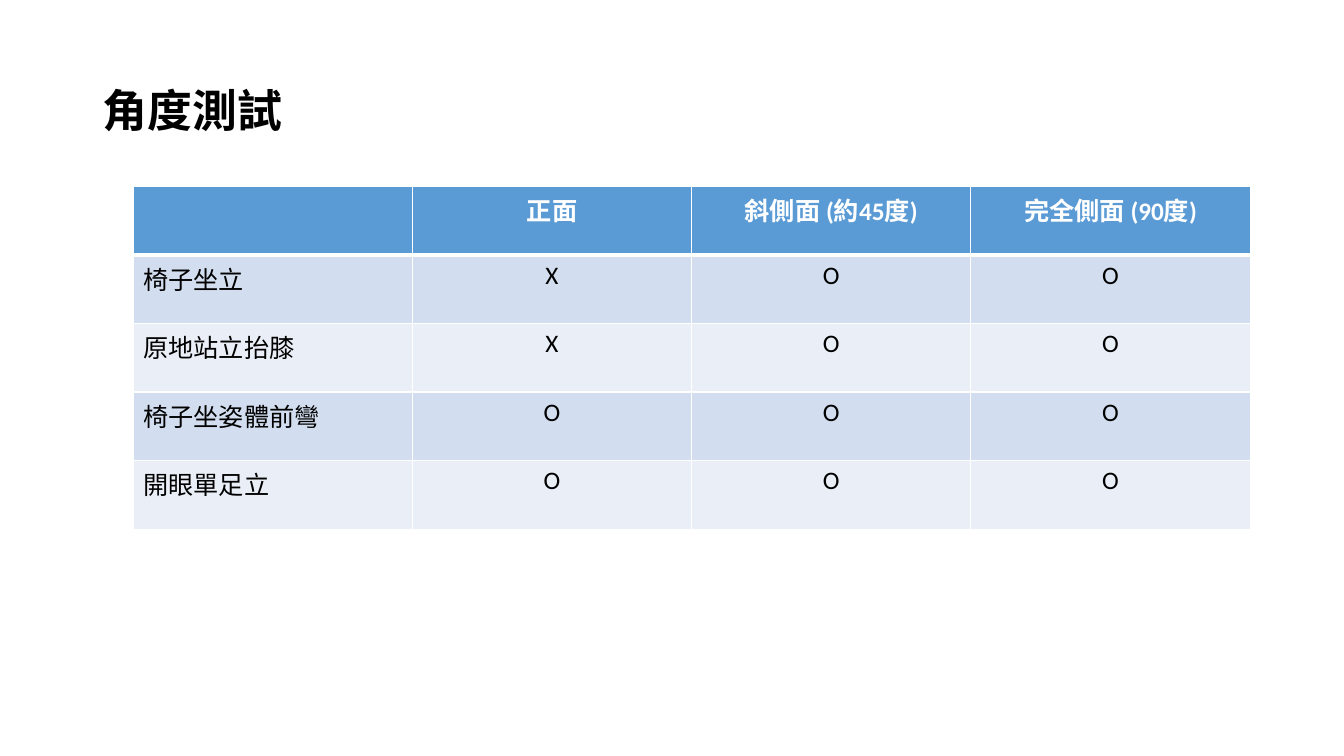
from lxml import etree
from pptx import Presentation
from pptx.dml.color import RGBColor
from pptx.enum.text import MSO_ANCHOR, PP_ALIGN
from pptx.oxml.ns import qn
from pptx.util import Inches, Pt

LEFT, CENTER = PP_ALIGN.LEFT, PP_ALIGN.CENTER
MIDDLE = MSO_ANCHOR.MIDDLE

COLORS = {
    "title": "000000",
    "header": "5B9BD5",
    "header_text": "FFFFFF",
    "odd_row": "D2DEEF",
    "even_row": "EAEFF7",
    "body_text": "000000",
    "border": "FFFFFF",
}
FONT = "Calibri"
SLIDE_W, SLIDE_H = Inches(13.33), Inches(7.5)
COLUMN_W, ROW_H = Inches(2.77), Inches(0.68)
TABLE_LEFT, TABLE_TOP = Inches(1.32), Inches(1.85)
THIN, THICK = Pt(1), Pt(3)

ANGLE_TESTS = [
    ["", "正面", "斜側面 (約45度)", "完全側面 (90度)"],
    ["椅子坐立", "X", "O", "O"],
    ["原地站立抬膝", "X", "O", "O"],
    ["椅子坐姿體前彎", "O", "O", "O"],
    ["開眼單足立", "O", "O", "O"],
]


def write(frame, text, color, alignment, **font_format):
    paragraph = frame.paragraphs[0]
    paragraph.alignment = alignment
    run = paragraph.add_run()
    run.text = text
    for attribute, value in {"name": FONT, **font_format}.items():
        setattr(run.font, attribute, value)
    run.font.color.rgb = RGBColor.from_string(COLORS[color])
    return paragraph


def add_title(slide, text):
    title = slide.shapes.add_textbox(
        round(SLIDE_W * 0.069), Inches(0.4), round(SLIDE_W * 0.863), Inches(1.45)
    )
    frame = title.text_frame
    frame.word_wrap = True
    frame.vertical_anchor = MIDDLE
    paragraph = write(frame, text, "title", LEFT, size=Pt(32), bold=True)
    paragraph.line_spacing = 0.9


def set_borders(cell, widths):
    properties = cell._tc.get_or_add_tcPr()
    for side, width in widths.items():
        line = etree.SubElement(properties, qn(f"a:ln{side}"), w=str(width))
        fill = etree.SubElement(line, qn("a:solidFill"))
        etree.SubElement(fill, qn("a:srgbClr"), val=COLORS["border"])


def format_cell(cell, text, row, column):
    is_header = row == 0
    set_borders(cell, {
        "L": THIN,
        "R": THIN,
        "T": THICK if row == 1 else THIN,
        "B": THICK if is_header else THIN,
    })
    band = "header" if is_header else "odd_row" if row % 2 else "even_row"
    cell.fill.solid()
    cell.fill.fore_color.rgb = RGBColor.from_string(COLORS[band])
    if text:
        write(
            cell.text_frame,
            text,
            "header_text" if is_header else "body_text",
            CENTER if column else LEFT,
            size=Pt(18),
            bold=is_header,
        )


def add_results_table(slide, results):
    row_count, column_count = len(results), len(results[0])
    table = slide.shapes.add_table(
        row_count, column_count, TABLE_LEFT, TABLE_TOP,
        COLUMN_W * column_count, ROW_H * row_count,
    ).table
    for column in table.columns:
        column.width = COLUMN_W
    for row, texts in enumerate(results):
        table.rows[row].height = ROW_H
        for column, text in enumerate(texts):
            format_cell(table.cell(row, column), text, row, column)


def main():
    presentation = Presentation()
    presentation.slide_width, presentation.slide_height = SLIDE_W, SLIDE_H
    slide = presentation.slides.add_slide(presentation.slide_layouts[6])
    add_title(slide, "角度測試")
    add_results_table(slide, ANGLE_TESTS)
    presentation.save("out.pptx")


if __name__ == "__main__":
    main()
